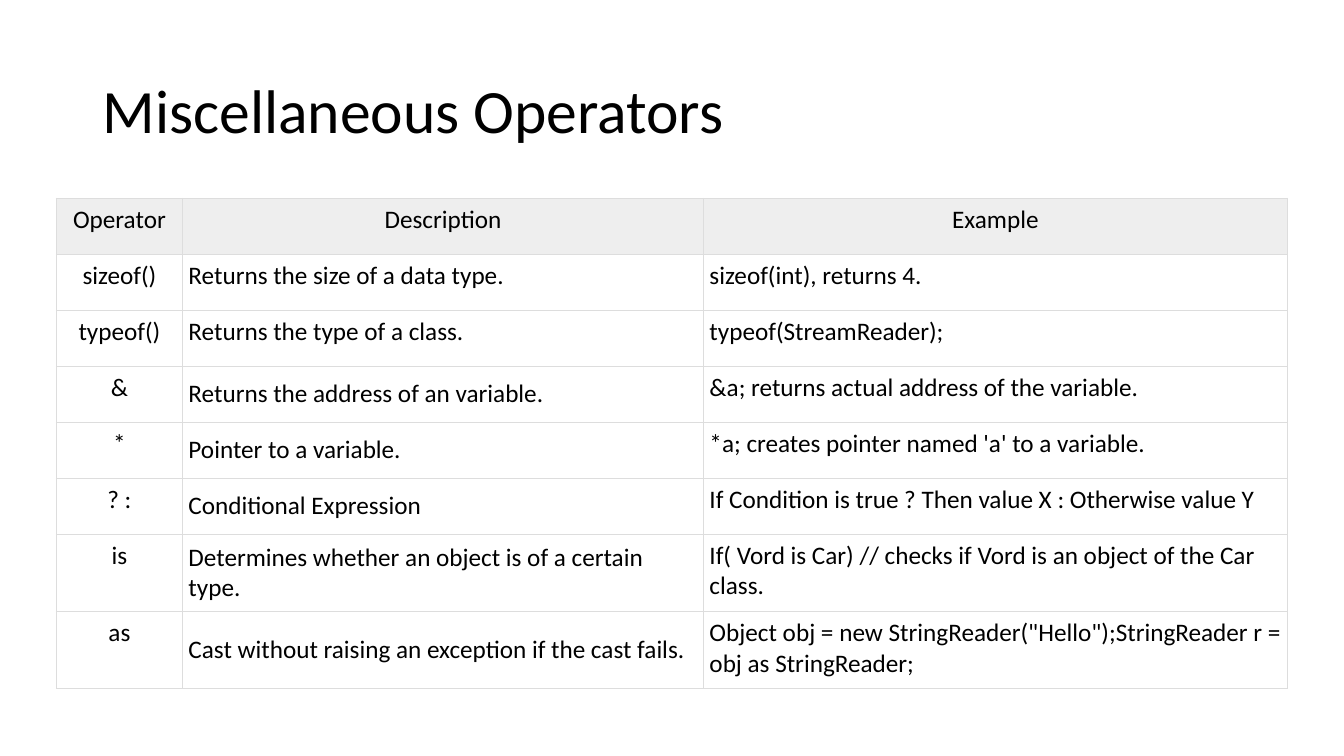
"""Build a slide that tabulates the miscellaneous operators of C#."""
from typing import NamedTuple

from lxml import etree
from pptx import Presentation
from pptx.dml.color import RGBColor
from pptx.enum.text import MSO_ANCHOR as Anchor, PP_ALIGN as Align
from pptx.oxml.ns import qn
from pptx.slide import Slide
from pptx.table import _Cell as Cell
from pptx.text.text import _Paragraph as Paragraph
from pptx.util import Cm, Pt

BLACK = RGBColor(0x00, 0x00, 0x00)
HEADER_GREY = RGBColor(0xEE, 0xEE, 0xEE)
BORDER_GREY = RGBColor(0xDD, 0xDD, 0xDD)

COLUMN_WIDTHS = (3.18, 13.13, 14.71)
LINE_HEIGHT, DOUBLE_HEIGHT = 1.41, 1.95
HEADINGS = ("Operator", "Description", "Example")
CELL_FORMAT = {
    "margin_left": Cm(0.15),
    "margin_right": Cm(0.15),
    "margin_top": Cm(0.15),
    "margin_bottom": Cm(0.15),
}


class Operator(NamedTuple):
    symbol: str
    description: str
    example: str
    height: float = LINE_HEIGHT
    description_anchor: Anchor = Anchor.MIDDLE
    example_align: Align = Align.LEFT


OPERATORS = (
    Operator("sizeof()", "Returns the size of a data type.", "sizeof(int), returns 4.",
             description_anchor=Anchor.TOP),
    Operator("typeof()", "Returns the type of a class.", "typeof(StreamReader);",
             description_anchor=Anchor.TOP),
    Operator("&", "Returns the address of an variable.",
             "&a; returns actual address of the variable."),
    Operator("*", "Pointer to a variable.", "*a; creates pointer named 'a' to a variable."),
    Operator("? :", "Conditional Expression",
             "If Condition is true ? Then value X : Otherwise value Y"),
    Operator("is", "Determines whether an object is of a certain type.",
             "If( Vord is Car) // checks if Vord is an object of the Car class.",
             DOUBLE_HEIGHT),
    Operator("as", "Cast without raising an exception if the cast fails.",
             'Object obj = new StringReader("Hello");StringReader r = obj as StringReader;',
             DOUBLE_HEIGHT, example_align=Align.JUSTIFY),
)


def write(paragraph: Paragraph, wording: str, size: int) -> None:
    run = paragraph.add_run()
    run.text = wording
    for attribute, value in {"name": "Calibri", "size": Pt(size)}.items():
        setattr(run.font, attribute, value)
    run.font.color.rgb = BLACK


def add_borders(cell: Cell) -> None:
    properties = cell._tc.get_or_add_tcPr()
    for position, side in enumerate(("lnL", "lnR", "lnT", "lnB")):
        border = etree.Element(qn(f"a:{side}"), w=str(Pt(0.75)))
        fill = etree.SubElement(border, qn("a:solidFill"))
        etree.SubElement(fill, qn("a:srgbClr"), val=str(BORDER_GREY))
        properties.insert(position, border)


def fill_cell(cell: Cell, wording: str, align: Align, anchor: Anchor = Anchor.TOP,
              shade: RGBColor | None = None) -> None:
    for attribute, value in {**CELL_FORMAT, "vertical_anchor": anchor}.items():
        setattr(cell, attribute, value)
    if shade is None:
        cell.fill.background()
    else:
        cell.fill.solid()
        cell.fill.fore_color.rgb = shade
    add_borders(cell)
    paragraph = cell.text_frame.paragraphs[0]
    paragraph.alignment = align
    write(paragraph, wording, 18)


def add_title(slide: Slide, wording: str) -> None:
    title = slide.shapes.add_textbox(Cm(2.34), Cm(1.02), Cm(29.21), Cm(3.68)).text_frame
    for attribute, value in {"word_wrap": True, "vertical_anchor": Anchor.MIDDLE}.items():
        setattr(title, attribute, value)
    title.paragraphs[0].line_spacing = 0.9
    write(title.paragraphs[0], wording, 44)


def add_operator_table(slide: Slide) -> None:
    heights = (LINE_HEIGHT, *(operator.height for operator in OPERATORS))
    table = slide.shapes.add_table(
        len(heights), len(COLUMN_WIDTHS), Cm(1.42), Cm(5),
        Cm(sum(COLUMN_WIDTHS)), Cm(sum(heights))).table
    for attribute in ("first_row", "horz_banding"):
        setattr(table, attribute, False)
    for column, width in zip(table.columns, COLUMN_WIDTHS):
        column.width = Cm(width)
    for row, height in zip(table.rows, heights):
        row.height = Cm(height)
    for column_index, heading in enumerate(HEADINGS):
        fill_cell(table.cell(0, column_index), heading, Align.CENTER, shade=HEADER_GREY)
    for row_index, operator in enumerate(OPERATORS, start=1):
        fill_cell(table.cell(row_index, 0), operator.symbol, Align.CENTER)
        fill_cell(table.cell(row_index, 1), operator.description, Align.LEFT,
                  operator.description_anchor)
        fill_cell(table.cell(row_index, 2), operator.example, operator.example_align)


def main() -> None:
    presentation = Presentation()
    presentation.slide_width, presentation.slide_height = Cm(33.87), Cm(19.05)
    slide = presentation.slides.add_slide(presentation.slide_layouts[6])
    add_title(slide, "Miscellaneous Operators")
    add_operator_table(slide)
    presentation.save("out.pptx")


if __name__ == "__main__":
    main()
